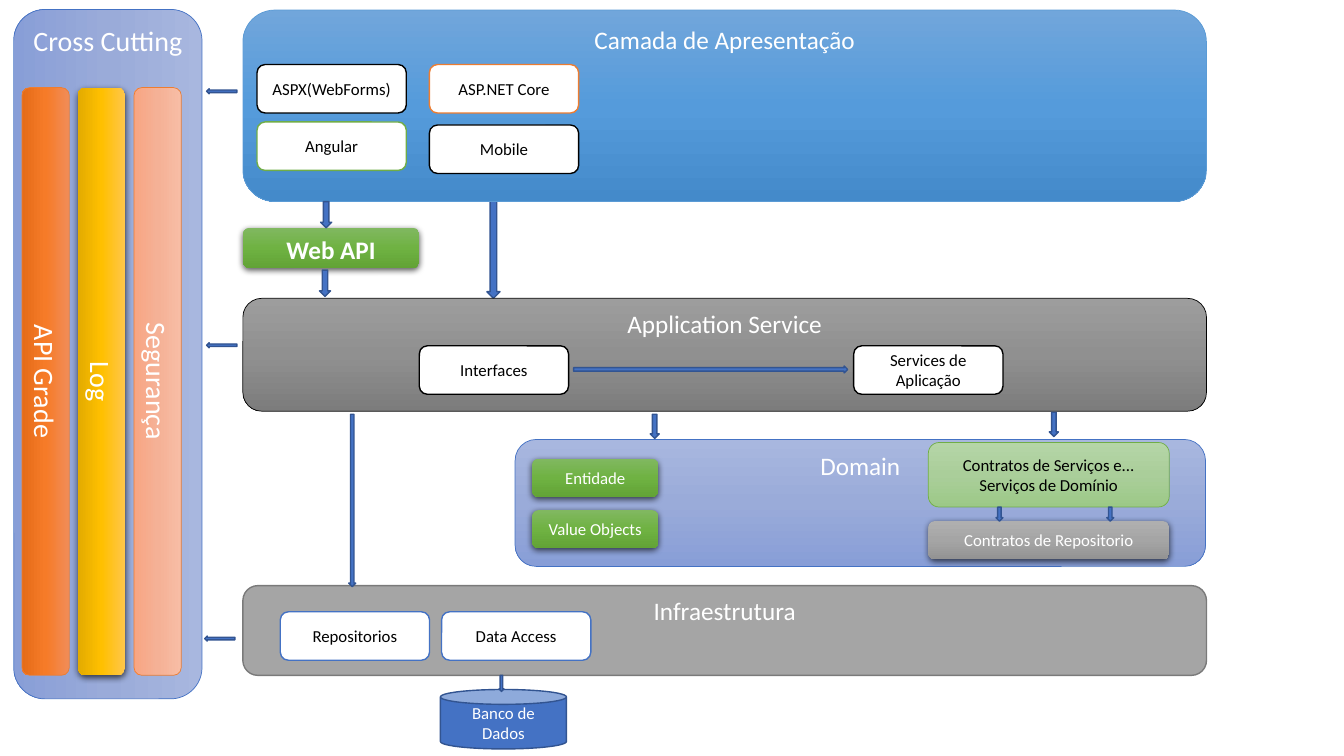
import copy
from dataclasses import dataclass, replace

import lxml.etree
import pptx
import pptx.dml.color
import pptx.enum.shapes
import pptx.enum.text
import pptx.oxml
import pptx.oxml.ns
import pptx.util

Pt = pptx.util.Pt
Preset = pptx.enum.shapes.MSO_SHAPE
Anchor = pptx.enum.text.MSO_ANCHOR
qn = pptx.oxml.ns.qn


@dataclass(frozen=True)
class Style:
    fill: tuple[str, ...]
    line: str | None = None
    line_width: float = 0.5
    text_color: str = "FFFFFF"
    size: float = 12
    bold: bool = False
    anchor: Anchor = Anchor.MIDDLE
    shadow: bool = False


@dataclass(frozen=True)
class Box:
    text: str
    left: float
    top: float
    width: float
    height: float
    style: Style
    preset: Preset = Preset.ROUNDED_RECTANGLE
    rotation: float = 0
    upright_text: bool = False


BLUE_GRADIENT = ("A8B7DF", "9AABD9", "889ED7")
GREEN_GRADIENT = ("81B861", "6FB242", "62A336")

LAYER = Style(BLUE_GRADIENT, "4472C4", size=18, anchor=Anchor.TOP)
CROSS_CUTTING = replace(LAYER, size=20)
PRESENTATION_LAYER = replace(LAYER, fill=("71A6DB", "559BDB", "448ACA"), line="5B9BD5")
SERVICE_LAYER = replace(LAYER, fill=("9D9D9D", "909090", "7C7C7C"), line="000000")
INFRASTRUCTURE = replace(LAYER, fill=("A5A5A5",), line="7A7A7A", line_width=1)
GRID_BAR = replace(CROSS_CUTTING, fill=("F18C57", "F67B28", "E56C19"), line="ED7D31")
LOG_BAR = replace(CROSS_CUTTING, fill=("FFC64B", "FFC000", "E3AB00"), line=None, shadow=True)
SECURITY_BAR = replace(GRID_BAR, fill=("F7BDA5", "F5B196", "F8A582"))
GREEN_PILL = Style(GREEN_GRADIENT, shadow=True)
WEB_API = replace(GREEN_PILL, size=18, bold=True, anchor=Anchor.TOP)
GRAY_PILL = Style(("AFAFAF", "A5A5A5", "939393"), shadow=True)
CONTRACTS = Style(("B5D5A7", "AACE9A", "9CC987"), "70AD47", text_color="000000")
ARROW = Style(("4472C4",), "325491", 1)

LAYER_LEFT, LAYER_WIDTH = 173.5, 688.3
CONTRACT_LEFT, CONTRACT_WIDTH = 663.1, 172.1
PILL_HEIGHT = 27.4


def color(value: str) -> pptx.dml.color.RGBColor:
    return pptx.dml.color.RGBColor.from_string(value)


def layer(text: str, top: float, height: float, style: Style) -> Box:
    return Box(text, LAYER_LEFT, top, LAYER_WIDTH, height, style)


def card(text: str, left: float, top: float, outline: str = "000000") -> Box:
    return Box(text, left, top, 106.6, 34.6, Style(("FFFFFF",), outline, 1, "000000"))


def turned(text: str, center_x: float, center_y: float, length: float,
           thickness: float, style: Style, upright_text: bool = False) -> Box:
    return Box(text, center_x - length / 2, center_y - thickness / 2, length,
               thickness, style, rotation=90, upright_text=upright_text)


def down_arrow(left: float, top: float, width: float, height: float) -> Box:
    return Box("", left, top, width, height, ARROW, Preset.DOWN_ARROW)


def left_arrow(left: float, top: float) -> Box:
    return Box("", left, top, 21.6, 3.6, ARROW, Preset.RIGHT_ARROW, 180)


def paint(shape, style: Style) -> None:
    if len(style.fill) == 1:
        shape.fill.solid()
        shape.fill.fore_color.rgb = color(style.fill[0])
    else:
        shape.fill.gradient()
        shape.fill.gradient_angle = 270
        stop_list = shape.element.spPr.find(".//" + qn("a:gsLst"))
        stop_list.insert(1, copy.deepcopy(stop_list[0]))
        for index, stop in enumerate(shape.fill.gradient_stops):
            stop.position = index / 2
            stop.color.rgb = color(style.fill[index])
    if style.line:
        shape.line.color.rgb = color(style.line)
        shape.line.width = Pt(style.line_width)
    else:
        shape.line.fill.background()
    shape.shadow.inherit = False
    if style.shadow:
        effects = shape.element.spPr.find(qn("a:effectLst"))
        shadow = lxml.etree.SubElement(
            effects, qn("a:outerShdw"), blurRad=str(Pt(4.5)), dist=str(Pt(1.5)),
            dir="5400000", algn="ctr", rotWithShape="0")
        shade = lxml.etree.SubElement(shadow, qn("a:srgbClr"), val="000000")
        lxml.etree.SubElement(shade, qn("a:alpha"), val="63000")


def write_text(shape, box: Box) -> None:
    text_frame = shape.text_frame
    text_frame.text = box.text
    text_frame.word_wrap = True
    text_frame.vertical_anchor = box.style.anchor
    if box.upright_text:
        text_frame._txBody.bodyPr.set("vert", "vert270")
    for paragraph in text_frame.paragraphs:
        paragraph.alignment = pptx.enum.text.PP_ALIGN.CENTER
        for run in paragraph.runs:
            run.font.name = "Calibri"
            run.font.size = Pt(box.style.size)
            run.font.bold = box.style.bold
            run.font.color.rgb = color(box.style.text_color)


def draw(slide, box: Box) -> None:
    shape = slide.shapes.add_shape(
        box.preset, Pt(box.left), Pt(box.top), Pt(box.width), Pt(box.height))
    shape.rotation = box.rotation
    paint(shape, box.style)
    if box.text:
        write_text(shape, box)


bars = [("API Grade", GRID_BAR), ("Log", LOG_BAR), ("Segurança", SECURITY_BAR)]

boxes = [
    turned("Cross Cutting", 77, 253, 492.5, 134.6, CROSS_CUTTING, True),
    *(turned(text, 32.6 + 40 * index, 272.5, 419.8, 33.8, style)
      for index, (text, style) in enumerate(bars)),
    Box("Web API", LAYER_LEFT, 162.7, 126, 28.8, WEB_API),
    down_arrow(347.8, 138.2, 9.4, 74.9),
    layer("Application Service", 213.1, 80.6, SERVICE_LAYER),
    card("Interfaces", 299.5, 247),
    card("Services de Aplicação", 609.8, 247),
    Box("", 409.7, 261.4, 195.8, 5, ARROW, Preset.RIGHT_ARROW),
    layer("Camada de Apresentação", 7.2, 136.8, PRESENTATION_LAYER),
    card("ASPX(WebForms)", 183.6, 46.1),
    card("ASP.NET Core", 306.7, 46.1, "ED7D31"),
    card("Angular", 183.6, 87.1, "70AD47"),
    card("Mobile", 306.7, 89.3),
    Box("Domain", 367.9, 313.9, 493.2, 90.7, LAYER),
    Box("Entidade", 380.2, 327.6, 90, PILL_HEIGHT, GREEN_PILL),
    Box("Value Objects", 380.2, 364.3, 90, PILL_HEIGHT, GREEN_PILL),
    Box("Contratos de Serviços e...\nServiços de Domínio",
        CONTRACT_LEFT, 316.1, CONTRACT_WIDTH, 46.1, CONTRACTS),
    Box("Contratos de Repositorio",
        CONTRACT_LEFT, 372.2, CONTRACT_WIDTH, PILL_HEIGHT, GRAY_PILL),
    layer("Infraestrutura", 418.3, 64.1, INFRASTRUCTURE),
    card("Repositorios", 200.2, 437, "4472C4"),
    card("Data Access", 315.4, 437, "4472C4"),
    Box("Banco de Dados", 314.6, 492.5, 90, 42.5, ARROW, Preset.CAN),
    down_arrow(229, 144, 7.9, 18.7),
    down_arrow(228.2, 193, 7.9, 18.7),
    down_arrow(464.4, 295.9, 6.5, 17.3),
    down_arrow(749.5, 294.5, 6.5, 17.3),
    down_arrow(249.1, 295.9, 5, 123.1),
    down_arrow(356.4, 482.4, 3.6, 11.5),
    down_arrow(711.4, 362.2, 5, 10.1),
    down_arrow(790.6, 362.2, 5, 10.1),
    left_arrow(147.6, 63.4),
    left_arrow(147.6, 244.8),
    left_arrow(146.2, 454.3),
]

presentation = pptx.Presentation()
presentation.slide_width = Pt(960)
presentation.slide_height = Pt(540)
slide = presentation.slides.add_slide(presentation.slide_layouts[6])
for box in boxes:
    draw(slide, box)
presentation.save("out.pptx")
